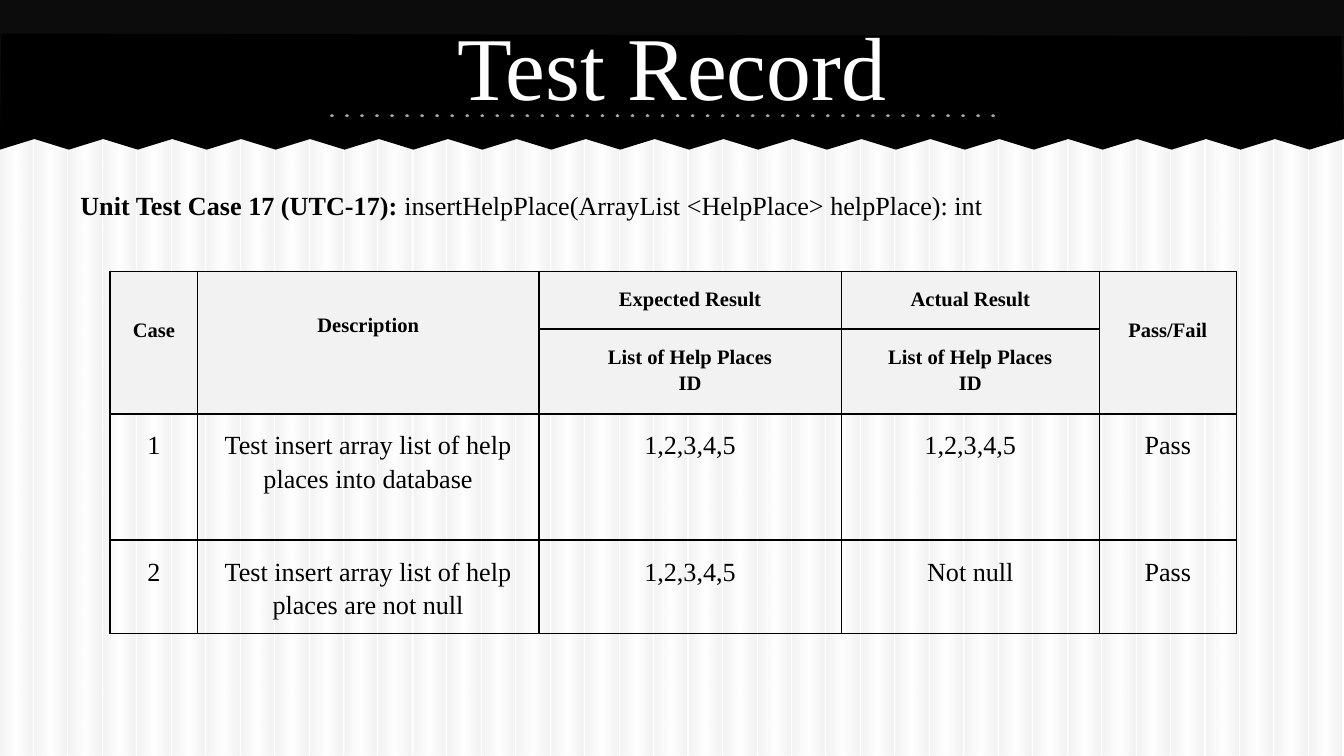
from lxml.etree import SubElement
from pptx import Presentation
from pptx.dml.color import RGBColor
from pptx.enum.shapes import MSO_CONNECTOR, MSO_SHAPE
from pptx.enum.text import MSO_ANCHOR, MSO_AUTO_SIZE, PP_ALIGN
from pptx.oxml import parse_xml
from pptx.oxml.ns import nsdecls, qn
from pptx.util import Inches, Pt

WIDE = 10
HIGH = WIDE * 9 / 16
FONT = "Times New Roman"
BLACK = RGBColor(0, 0, 0)
WHITE = RGBColor(255, 255, 255)
COAL = RGBColor(0x0C, 0x0C, 0x0C)
SAGE = RGBColor(0x94, 0xAE, 0x8E)
PALE = RGBColor(0xF2, 0xF2, 0xF2)
GREY = RGBColor(0xBF, 0xBF, 0xBF)

TEETH = 39  # stripes and zigzag share one pitch
COLS = [0.65, 2.54, 2.25, 1.92, 1.02]
ROWS = [0.43, 0.63, 0.94, 0.69]
PLACES = "List of Help Places\nID"
CELLS = [
    ["Case", "Description", "Expected Result", "Actual Result", "Pass/Fail"],
    ["", "", PLACES, PLACES, ""],
    ["1", "Test insert array list of help places into database",
     "1,2,3,4,5", "1,2,3,4,5", "Pass"],
    ["2", "Test insert array list of help places are not null",
     "1,2,3,4,5", "Not null", "Pass"],
]


def inch(*nums):
    return [Inches(n) for n in nums]


def style(font, size, color, bold=False):
    font.name, font.size, font.bold = FONT, Pt(size), bold
    font.color.rgb = color


def pad(frame):
    frame.margin_left = frame.margin_right = Inches(0.1)
    frame.margin_top = frame.margin_bottom = Inches(0.1)
    frame.word_wrap = True
    frame.auto_size = MSO_AUTO_SIZE.NONE


def paint(shape, color):
    shape.shadow.inherit = False
    shape.line.fill.background()
    shape.fill.solid()
    shape.fill.fore_color.rgb = color


def stripes(slide, box):
    left, top, width, height = box
    step = width / TEETH
    stops = "".join(
        f'<a:gs pos="{pos}000"><a:srgbClr val="{color}">'
        '<a:alpha val="19000"/></a:srgbClr></a:gs>'
        for pos, color in [(0, GREY), (50, WHITE), (97, GREY), (100, GREY)])
    for i in range(TEETH):
        bar = slide.shapes.add_shape(
            MSO_SHAPE.RECTANGLE, *inch(left + i * step, top, 0.24, height))
        bar.shadow.inherit = False
        bar.line.fill.background()
        grad = parse_xml(f'<a:gradFill {nsdecls("a")}><a:gsLst>{stops}</a:gsLst>'
                         '<a:lin ang="0" scaled="0"/></a:gradFill>')
        bar.element.spPr.find(qn("a:prstGeom")).addnext(grad)


def banner(slide, box):
    left, top, width, height = box
    band = slide.shapes.add_shape(
        MSO_SHAPE.RECTANGLE, *inch(left, top, width, height * 0.91))
    paint(band, COAL)

    # Torn paper edge
    low, peak = top + height * 0.99, top + height * 0.92
    edge = [(left + i * width / TEETH, peak if i % 2 else low)
            for i in range(TEETH, -1, -1)]
    upper = [(left + 0.01, top + 0.25), (left + width - 0.02, top + 0.27)]
    first, *rest = [inch(*spot) for spot in upper + edge]
    pen = slide.shapes.build_freeform(*first)
    pen.add_line_segments(rest, close=True)
    paint(pen.convert_to_shape(), BLACK)

    # Dotted rule under the title
    y = top + 0.86
    rule = slide.shapes.add_connector(
        MSO_CONNECTOR.STRAIGHT, *inch(left + width * 0.247, y, left + width * 0.75, y))
    rule.line.color.rgb = SAGE
    rule.line.width = Pt(2)
    stroke = rule.element.spPr.find(qn("a:ln"))
    stroke.set("cap", "rnd")
    SubElement(stroke, qn("a:prstDash"), val="dot")
    SubElement(rule.element.spPr, qn("a:effectLst"))


def heading(slide, box):
    title = slide.shapes.title
    title.left, title.top, title.width, title.height = inch(*box)
    frame = title.text_frame
    frame.text = "Test Record"
    pad(frame)
    frame.vertical_anchor = MSO_ANCHOR.MIDDLE
    para = frame.paragraphs[0]
    para.alignment = PP_ALIGN.CENTER
    style(para.font, 48, WHITE)
    title.element.getparent().append(title.element)  # bring to front


def intro(slide, box):
    frame = slide.shapes.add_textbox(*inch(*box)).text_frame
    pad(frame)
    para = frame.paragraphs[0]
    for text, bold in [("Unit Test Case 17 (UTC-17): ", True),
                       ("insertHelpPlace(ArrayList <HelpPlace> helpPlace): int", False)]:
        run = para.add_run()
        run.text = text
        style(run.font, 14, BLACK, bold)


def border(cell):
    props = cell._tc.get_or_add_tcPr()
    for side in ("lnL", "lnR", "lnT", "lnB"):
        props.append(parse_xml(
            f'<a:{side} {nsdecls("a")} w="{Pt(1)}"><a:solidFill>'
            f'<a:srgbClr val="{BLACK}"/></a:solidFill></a:{side}>'))


def fill_cell(cell, text, head, tall):
    border(cell)
    cell.margin_left = cell.margin_right = Inches(0.07)
    cell.margin_top = cell.margin_bottom = Inches(0.1)
    if text == "Description":
        cell.margin_top = Inches(0.29)
    if head:
        cell.fill.solid()
        cell.fill.fore_color.rgb = PALE
    else:
        cell.fill.background()
    cell.text = text
    for para in cell.text_frame.paragraphs:
        para.alignment = PP_ALIGN.CENTER
        para.line_spacing = 2.5 if tall else 1.15
        style(para.font, 11 if head else 14, BLACK, head)


def results(slide, box):
    table = slide.shapes.add_table(len(ROWS), len(COLS), *inch(*box)).table
    table.first_row = table.horz_banding = False
    for col, width in zip(table.columns, COLS):
        col.width = Inches(width)
    for row, height in zip(table.rows, ROWS):
        row.height = Inches(height)
    for r, line in enumerate(CELLS):
        for c, text in enumerate(line):
            fill_cell(table.cell(r, c), text, r < 2, text in ("Case", "Pass/Fail"))
    for c in (0, 1, 4):
        table.cell(0, c).merge(table.cell(1, c))


def main():
    deck = Presentation()
    deck.slide_width, deck.slide_height = inch(WIDE, HIGH)
    slide = deck.slides.add_slide(deck.slide_layouts[5])
    stripes(slide, (0, 0.01, WIDE, HIGH - 0.01))
    banner(slide, (0, 0, WIDE, HIGH * 0.2))
    heading(slide, (WIDE * 0.05, 0.01, WIDE * 0.9, 0.94))
    intro(slide, (WIDE * 0.05, 1.31, WIDE * 0.9, 3.97))
    results(slide, (0.82, 2.02, sum(COLS), sum(ROWS)))
    deck.save("out.pptx")


if __name__ == "__main__":
    main()
